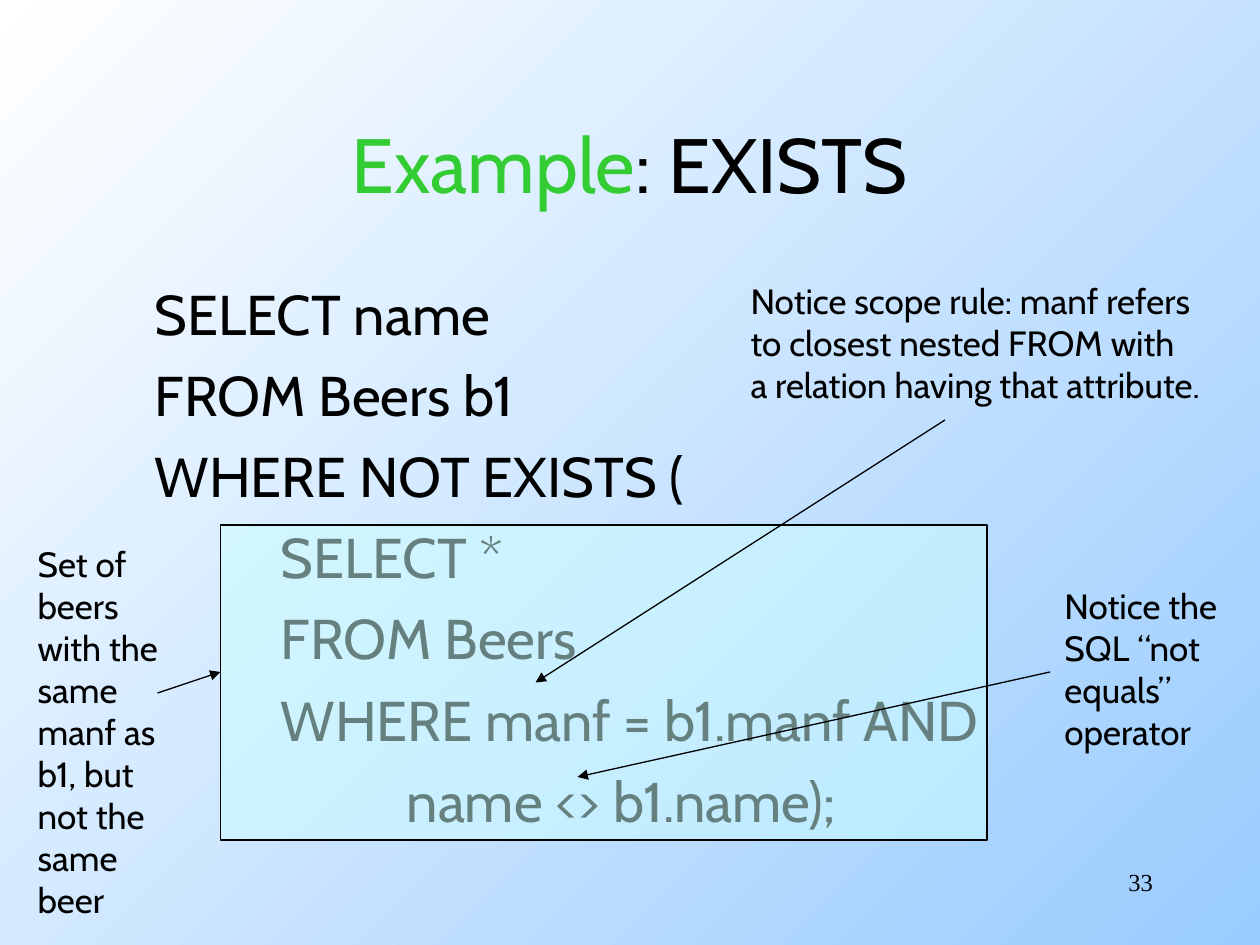
from lxml import etree
from pptx import Presentation
from pptx.dml.color import RGBColor
from pptx.enum.shapes import MSO_CONNECTOR, MSO_SHAPE
from pptx.enum.text import MSO_ANCHOR, MSO_AUTO_SIZE, PP_ALIGN
from pptx.oxml.ns import qn
from pptx.util import Inches, Pt

BLACK = RGBColor(0x00, 0x00, 0x00)
GREEN = RGBColor(0x33, 0xCC, 0x33)
WHITE = RGBColor(0xFF, 0xFF, 0xFF)
SKY = RGBColor(0x99, 0xCC, 0xFF)
AQUA = RGBColor(0xCC, 0xFF, 0xFF)
LEFT, CENTER, RIGHT = PP_ALIGN.LEFT, PP_ALIGN.CENTER, PP_ALIGN.RIGHT
TOP, MIDDLE = MSO_ANCHOR.TOP, MSO_ANCHOR.MIDDLE
NO_FIT = MSO_AUTO_SIZE.NONE
RECTANGLE, STRAIGHT = MSO_SHAPE.RECTANGLE, MSO_CONNECTOR.STRAIGHT

TITLE_ONLY = 5
COLS, ROWS = 120, 90

TITLE = {"name": "Cabin", "size": Pt(44)}
CODE = {"name": "Cabin", "size": Pt(32)}
NOTE = {"name": "Cabin", "size": Pt(20)}
NUMBER = {"name": "Times New Roman", "size": Pt(14)}

QUERY = [
    (0, "SELECT name"),
    (0, "FROM Beers b1"),
    (0, "WHERE NOT EXISTS ("),
    (1, "SELECT *"),
    (1, "FROM Beers"),
    (1, "WHERE manf = b1.manf AND"),
    (2, "name <> b1.name);"),
]
SET_NOTE = ["Set of", "beers", "with the", "same", "manf as",
            "b1, but", "not the", "same", "beer"]
SCOPE_NOTE = ["Notice scope rule: manf refers", "to closest nested FROM with",
              "a relation having that attribute."]
OPERATOR_NOTE = ["Notice the", "SQL “not", "equals”", "operator"]


class Deck:
    """Presentation style and current slide; lengths are grid columns and rows."""

    def __init__(self):
        self.prs = Presentation()
        self.prs.slide_width, self.prs.slide_height = Inches(10), Inches(7.5)
        self.s = None

    def x(self, cols):
        return round(self.prs.slide_width * cols / COLS)

    def y(self, rows):
        return round(self.prs.slide_height * rows / ROWS)

    def box(self, col, row, cols, rows):
        return self.x(col), self.y(row), self.x(cols), self.y(rows)

    def add_slide(self):
        self.s = self.prs.slides.add_slide(self.prs.slide_layouts[TITLE_ONLY])
        fill = self.s.background.fill
        fill.gradient()
        fill.gradient_angle = 315
        for stop, color in zip(fill.gradient_stops, (WHITE, SKY)):
            stop.color.rgb = color

    def run(self, p, text, style, color=BLACK):
        r = p.add_run()
        r.text = text
        for name, value in style.items():
            setattr(r.font, name, value)
        r.font.color.rgb = color

    def frame(self, sp, wrap=True, anchor=TOP):
        tf = sp.text_frame
        settings = {"word_wrap": wrap, "auto_size": NO_FIT,
                    "vertical_anchor": anchor}
        for name, value in settings.items():
            setattr(tf, name, value)
        return tf

    def title(self, parts, *area):
        sp = self.s.shapes.title
        sp.left, sp.top, sp.width, sp.height = self.box(*area)
        p = self.frame(sp, anchor=MIDDLE).paragraphs[0]
        p.alignment = CENTER
        for text, color in parts:
            self.run(p, text, TITLE, color)

    def text(self, lines, style, *area, wrap=False, align=LEFT):
        """Add one paragraph per line and return the paragraphs."""
        tf = self.frame(self.s.shapes.add_textbox(*self.box(*area)), wrap)
        for i, line in enumerate(lines):
            p = tf.add_paragraph() if i else tf.paragraphs[0]
            p.alignment = align
            self.run(p, line, style)
        return tf.paragraphs

    def code(self, query, *area):
        lines = [line for _, line in query]
        paragraphs = self.text(lines, CODE, *area, wrap=True)
        for p, (level, _) in zip(paragraphs, query):
            p.space_before = Pt(8)
            p._p.get_or_add_pPr().set("marL", str(Inches(0.38 + level)))

    def highlight(self, *area):
        """Add a half-transparent outlined rectangle."""
        sp = self.s.shapes.add_shape(RECTANGLE, *self.box(*area))
        sp.shadow.inherit = False
        sp.fill.solid()
        sp.fill.fore_color.rgb = AQUA
        color = sp._element.spPr.find(qn("a:solidFill"))[0]
        etree.SubElement(color, qn("a:alpha")).set("val", "50000")
        sp.line.color.rgb = BLACK
        sp.line.width = Pt(0.75)

    def arrow(self, col1, row1, col2, row2):
        sp = self.s.shapes.add_connector(STRAIGHT, self.x(col1), self.y(row1),
                                         self.x(col2), self.y(row2))
        sp.line.color.rgb = BLACK
        sp.line.width = Pt(0.75)
        ln = sp.line._get_or_add_ln()
        etree.SubElement(ln, qn("a:tailEnd")).set("type", "triangle")
        etree.SubElement(sp._element.spPr, qn("a:effectLst"))


def main():
    deck = Deck()
    deck.add_slide()
    deck.title([("Example", GREEN), (": EXISTS", BLACK)], 9, 8, 102, 15)
    deck.text(["33"], NUMBER, 86, 82, 25, 6, wrap=True, align=RIGHT)
    deck.code(QUERY, 9, 26, 102, 54)
    deck.highlight(21, 50, 73, 30)

    deck.text(SET_NOTE, NOTE, 2.4, 51.1, 15.1, 37.2)
    deck.arrow(15, 66, 21, 64)
    deck.text(SCOPE_NOTE, NOTE, 70.3, 26, 51.5, 13.2)
    deck.arrow(90, 40, 51, 65)
    deck.text(OPERATOR_NOTE, NOTE, 100.2, 55.1, 18.5, 17.3)
    deck.arrow(100, 64, 55, 74)

    deck.prs.save("out.pptx")


if __name__ == "__main__":
    main()
